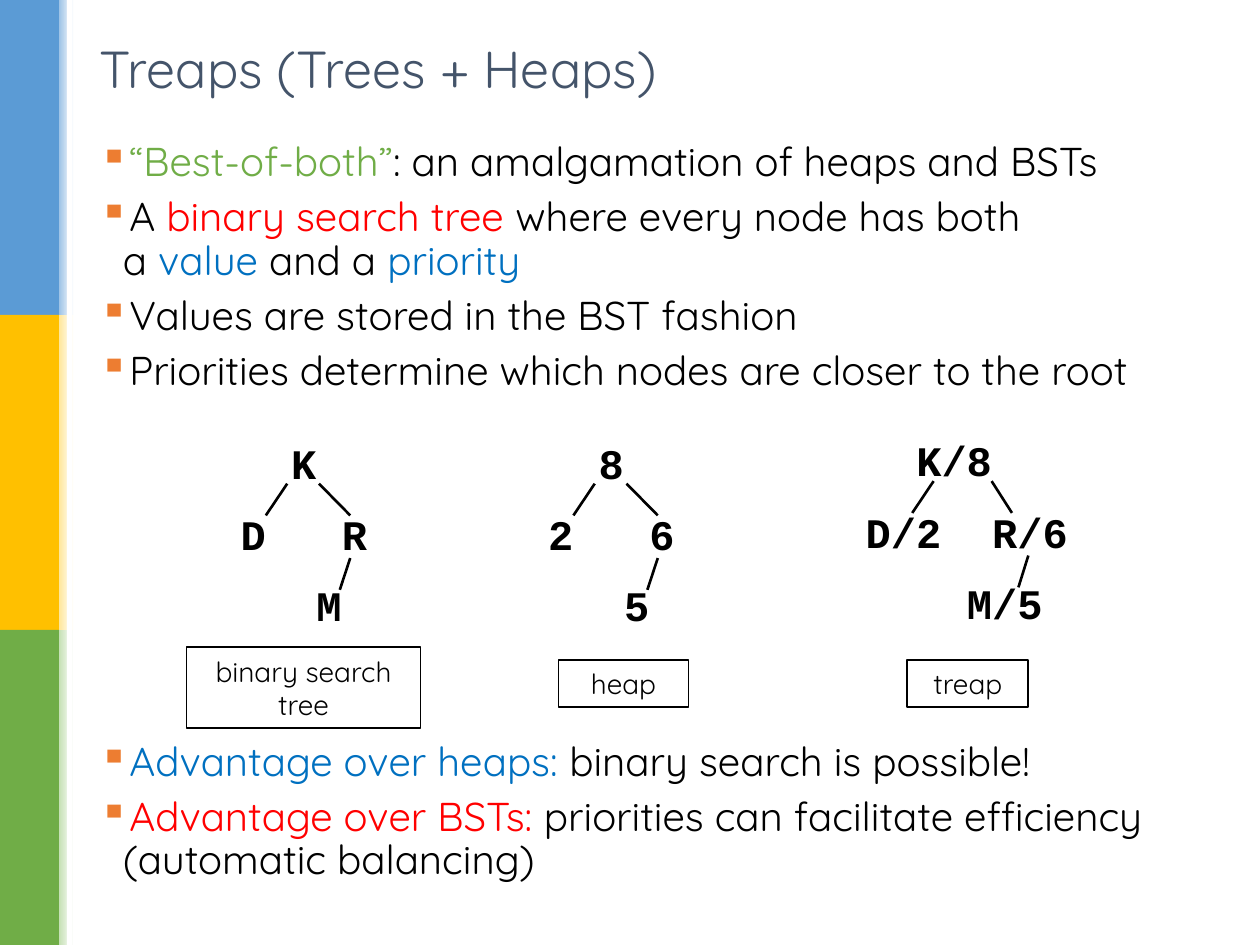
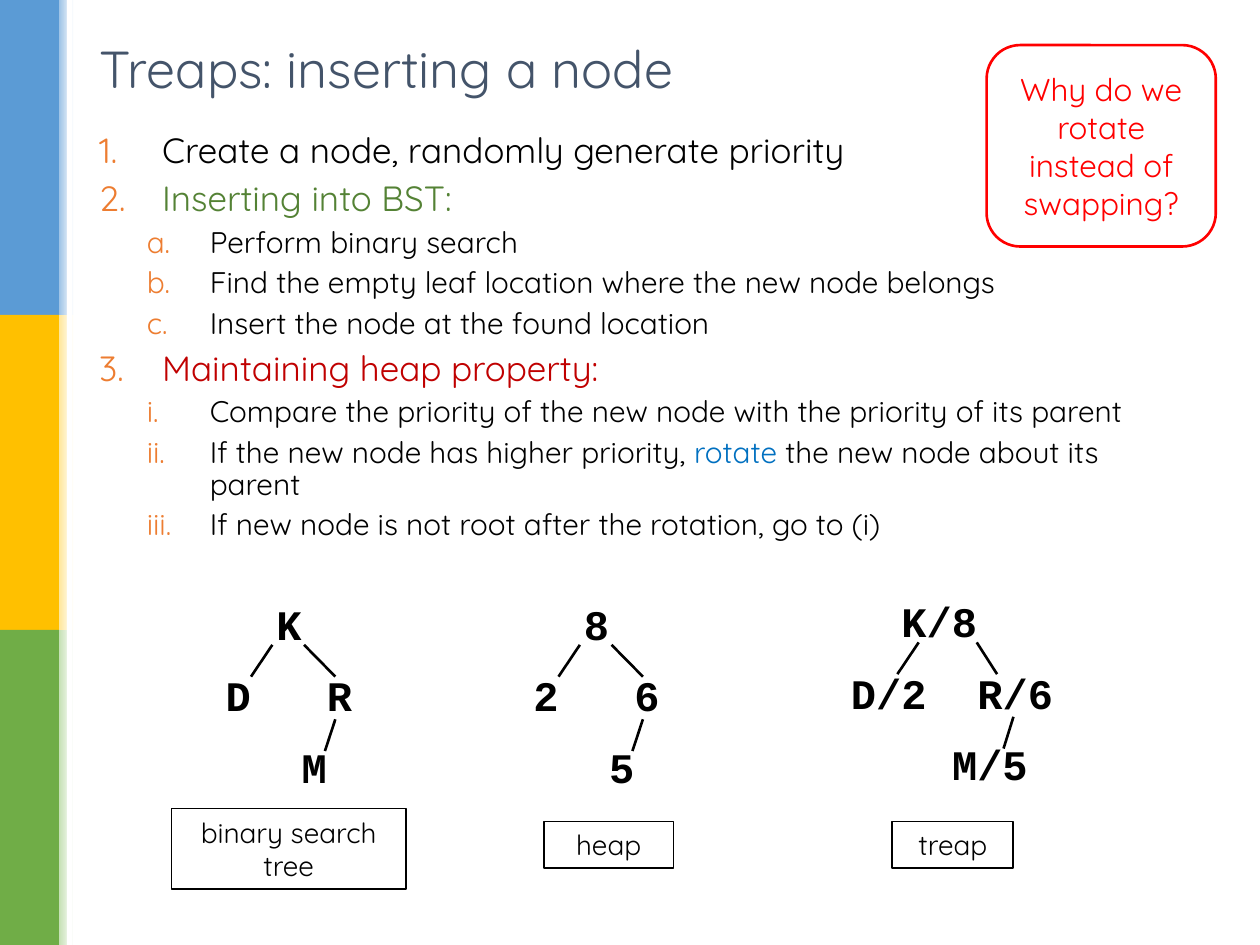
from lxml.etree import SubElement
from pptx import Presentation
from pptx.dml.color import RGBColor
from pptx.enum.shapes import MSO_CONNECTOR as Connector, MSO_SHAPE as Shape
from pptx.enum.text import MSO_ANCHOR as Anchor, PP_ALIGN as Align
from pptx.oxml.ns import qn
from pptx.util import Cm, Pt

SANS, MONO = "Quicksand", "Courier New"
BLACK, WHITE, RED, BLUE = "000000", "FFFFFF", "FF0000", "0070C0"
GREEN, DARK_GREEN, DARK_RED = "70AD47", "548235", "C00000"
TITLE_COLOR, BULLET_COLOR = "44546A", "ED7D31"

BANDS = [("5B9BD5", "9DC3E6"), ("FFC000", "FFE699"), (GREEN, "C5E0B4")]
BAND_WIDTH, BAND_HEIGHT, FADE_WIDTH = 1.19, 6.35, 0.3

BODY_LEFT, BODY_WIDTH = 1.75, 22.2
STYLES = {
    "square": dict(level=0, size=23, margin=0.48, hang=0.48, tag="a:buChar", mark={"char": "▪"}),
    "1": dict(level=0, size=20, margin=1.27, hang=1.27, tag="a:buAutoNum", mark={"type": "arabicPeriod"}),
    "a": dict(level=1, size=17, margin=2.23, hang=1.27, tag="a:buAutoNum", mark={"type": "alphaLcPeriod"}),
    "i": dict(level=1, size=17, margin=2.23, hang=1.27, tag="a:buAutoNum", mark={"type": "romanLcPeriod"}),
}

NARROW_EDGES = [(0, 1.7, 1.27), (0, 2.34, 2.97), (1, 2.97, 2.76)]
TREES = [
    dict(at=(4.09, 8.71), nodes=[("K", 3, 0), ("D", 1, 1), ("R", 5, 1), ("M", 4, 2)],
         edges=NARROW_EDGES, caption=("binary search tree", -0.33, 4.34, 4.72, 1.63)),
    dict(at=(10.29, 8.71), nodes=[("8", 3, 0), ("2", 1, 1), ("6", 5, 1), ("5", 4, 2)],
         edges=NARROW_EDGES, caption=("heap", 0.97, 4.6, 2.62, 0.94)),
    dict(at=(16.69, 8.66), nodes=[("K/8", 3, 0), ("D/2", 1, 1), ("R/6", 6, 1), ("M/5", 5, 2)],
         edges=[(0, 2.13, 1.7), (0, 3.3, 3.71), (1, 4.04, 3.84)],
         caption=("treap", 1.6, 4.65, 2.44, 0.94)),
]
LETTER_WIDTH, LETTER_HEIGHT, ROW_STEP = 0.51, 0.96, 1.44
NODE_INSET_X, NODE_INSET_Y = 0.25, 0.13
EDGE_TOP, EDGE_HEIGHT, EDGE_STEP = 1.04, 0.64, 1.5

PAGES = [
    dict(
        title="Treaps (Trees + Heaps)", title_width=12.37, tree_shift=(0, 0), callout=None,
        bodies=[
            (2.74, 6, [
                ("square", [("“Best-of-both”", GREEN), (": an amalgamation of heaps and BSTs", BLACK)]),
                ("square", [("A ", BLACK), ("binary search tree", RED),
                            (" where every node has both \na ", BLACK), ("value", BLUE),
                            (" and a ", BLACK), ("priority", BLUE)]),
                ("square", [("Values are stored in the BST fashion", BLACK)]),
                ("square", [("Priorities determine which nodes are closer to the root", BLACK)]),
            ]),
            (14.82, 3.2, [
                ("square", [("Advantage over heaps:", BLUE), (" binary search is possible!", BLACK)]),
                ("square", [("Advantage over BSTs: ", RED),
                            ("priorities can facilitate efficiency (automatic balancing)", BLACK)]),
            ]),
        ],
    ),
    dict(
        title="Treaps: inserting a node", title_width=22.2, tree_shift=(-0.3, 3.25),
        callout="Why do we rotate instead of swapping?",
        bodies=[
            (2.57, 9, [
                ("1", [("Create a node, randomly generate priority", BLACK)]),
                ("1", [("Inserting into BST:", DARK_GREEN)]),
                ("a", [("Perform binary search", BLACK)]),
                ("a", [("Find the empty leaf location where the new node belongs", BLACK)]),
                ("a", [("Insert the node at the found location", BLACK)]),
                ("1", [("Maintaining heap property:", DARK_RED)]),
                ("i", [("Compare the priority of the new node with the priority of its parent", BLACK)]),
                ("i", [("If the new node has higher priority, ", BLACK), ("rotate", BLUE),
                       (" the new node about its parent", BLACK)]),
                ("i", [("If new node is not root after the rotation, go to (i)", BLACK)]),
            ]),
        ],
    ),
]


def rgb(code):
    return RGBColor.from_string(code)


def set_font(font, name, size, color, bold=None):
    font.name, font.size, font.bold = name, Pt(size), bold
    font.color.rgb = rgb(color)


def add_box(page, kind, place, fill=None, line=None, weight=1):
    box = page.shapes.add_shape(kind, *map(Cm, place))
    box.shadow.inherit = False
    if fill:
        box.fill.solid()
        box.fill.fore_color.rgb = rgb(fill)
    else:
        box.fill.background()
    if line:
        box.line.color.rgb = rgb(line)
        box.line.width = Pt(weight)
    else:
        box.line.fill.background()
    return box


def write_centred(box, text, size, color, name=SANS, bold=None):
    frame = box.text_frame
    frame.vertical_anchor = Anchor.MIDDLE
    para = frame.paragraphs[0]
    para.text, para.alignment = text, Align.CENTER
    set_font(para.font, name, size, color, bold)


def build_bands(page):
    layout = page.slide_layout
    for holder in list(layout.placeholders):
        if holder.placeholder_format.idx:
            holder.element.getparent().remove(holder.element)
    parts = []
    for row, (color, fade_color) in enumerate(BANDS):
        top = row * BAND_HEIGHT
        parts.append(add_box(page, Shape.RECTANGLE, (0, top, BAND_WIDTH, BAND_HEIGHT), color))
        fade = add_box(page, Shape.RECTANGLE, (BAND_WIDTH, top, FADE_WIDTH, BAND_HEIGHT))
        fade.fill.gradient()
        fade.fill.gradient_angle = 0
        for stop, code in zip(fade.fill.gradient_stops, (fade_color, WHITE)):
            stop.color.rgb = rgb(code)
        parts.append(fade)
    parts.append(add_box(page, Shape.RECTANGLE, (1.35, 0, 0.1, BAND_HEIGHT * len(BANDS)), WHITE))
    for part in parts:
        layout.shapes.element.append(part.element)


def set_title(page, text, width):
    title = page.shapes.title
    title.left, title.top, title.width, title.height = map(Cm, (BODY_LEFT, 0.66, width, 1.42))
    title.text_frame.vertical_anchor = Anchor.MIDDLE
    para = title.text_frame.paragraphs[0]
    para.text, para.alignment = text, Align.LEFT
    set_font(para.font, SANS, 29.7, TITLE_COLOR)


def set_bullet(para, style):
    props = para._p.get_or_add_pPr()
    props.set("marL", str(Cm(style["margin"])))
    props.set("indent", str(-Cm(style["hang"])))
    color = SubElement(props, qn("a:buClr"))
    SubElement(color, qn("a:srgbClr"), val=BULLET_COLOR)
    SubElement(props, qn(style["tag"]), **style["mark"])


def add_body(page, top, height, items):
    box = page.shapes.add_textbox(*map(Cm, (BODY_LEFT, top, BODY_WIDTH, height)))
    frame = box.text_frame
    frame.word_wrap = True
    for index, (style_name, spans) in enumerate(items):
        style = STYLES[style_name]
        para = frame.add_paragraph() if index else frame.paragraphs[0]
        para.level, para.line_spacing = style["level"], 0.9
        if index:
            para.space_before = Pt(round(style["size"] * 0.285, 1))
        set_bullet(para, style)
        for text, color in spans:
            for line_index, line in enumerate(text.split("\n")):
                if line_index:
                    para.add_line_break()
                span = para.add_run()
                span.text = line
                set_font(span.font, SANS, style["size"], color)


def add_edge(page, x_from, x_to, top):
    edge = page.shapes.add_connector(
        Connector.STRAIGHT, Cm(x_from), Cm(top), Cm(x_to), Cm(top + EDGE_HEIGHT))
    edge.line.color.rgb = rgb(BLACK)
    edge.line.width = Pt(1.5)
    SubElement(edge.element.spPr, qn("a:effectLst"))


def add_tree(page, tree, shift):
    x, y = (start + move for start, move in zip(tree["at"], shift))
    for label, column, row in tree["nodes"]:
        node = page.shapes.add_textbox(
            Cm(x + NODE_INSET_X + column * LETTER_WIDTH), Cm(y + NODE_INSET_Y + row * ROW_STEP),
            Cm(len(label) * LETTER_WIDTH), Cm(LETTER_HEIGHT))
        frame = node.text_frame
        frame.margin_left = frame.margin_right = frame.margin_top = frame.margin_bottom = 0
        frame.word_wrap = False
        write_centred(node, label, 24, BLACK, MONO, True)
    for row, x_from, x_to in tree["edges"]:
        add_edge(page, x + x_from, x + x_to, y + EDGE_TOP + row * EDGE_STEP)
    text, left, top, width, height = tree["caption"]
    caption = add_box(page, Shape.RECTANGLE, (x + left, y + top, width, height), line=BLACK)
    write_centred(caption, text, 16, BLACK)


def main():
    deck = Presentation()
    deck.slide_width, deck.slide_height = Cm(25.4), Cm(19.05)
    for index, content in enumerate(PAGES):
        page = deck.slides.add_slide(deck.slide_layouts[5])
        if index == 0:
            build_bands(page)
        set_title(page, content["title"], content["title_width"])
        for body in content["bodies"]:
            add_body(page, *body)
        for tree in TREES:
            add_tree(page, tree, content["tree_shift"])
        if content["callout"]:
            callout = add_box(page, Shape.ROUNDED_RECTANGLE, (19.89, 0.91, 4.62, 4.06), WHITE, RED, 1.5)
            write_centred(callout, content["callout"], 18, RED)
    deck.save("out.pptx")


if __name__ == "__main__":
    main()
